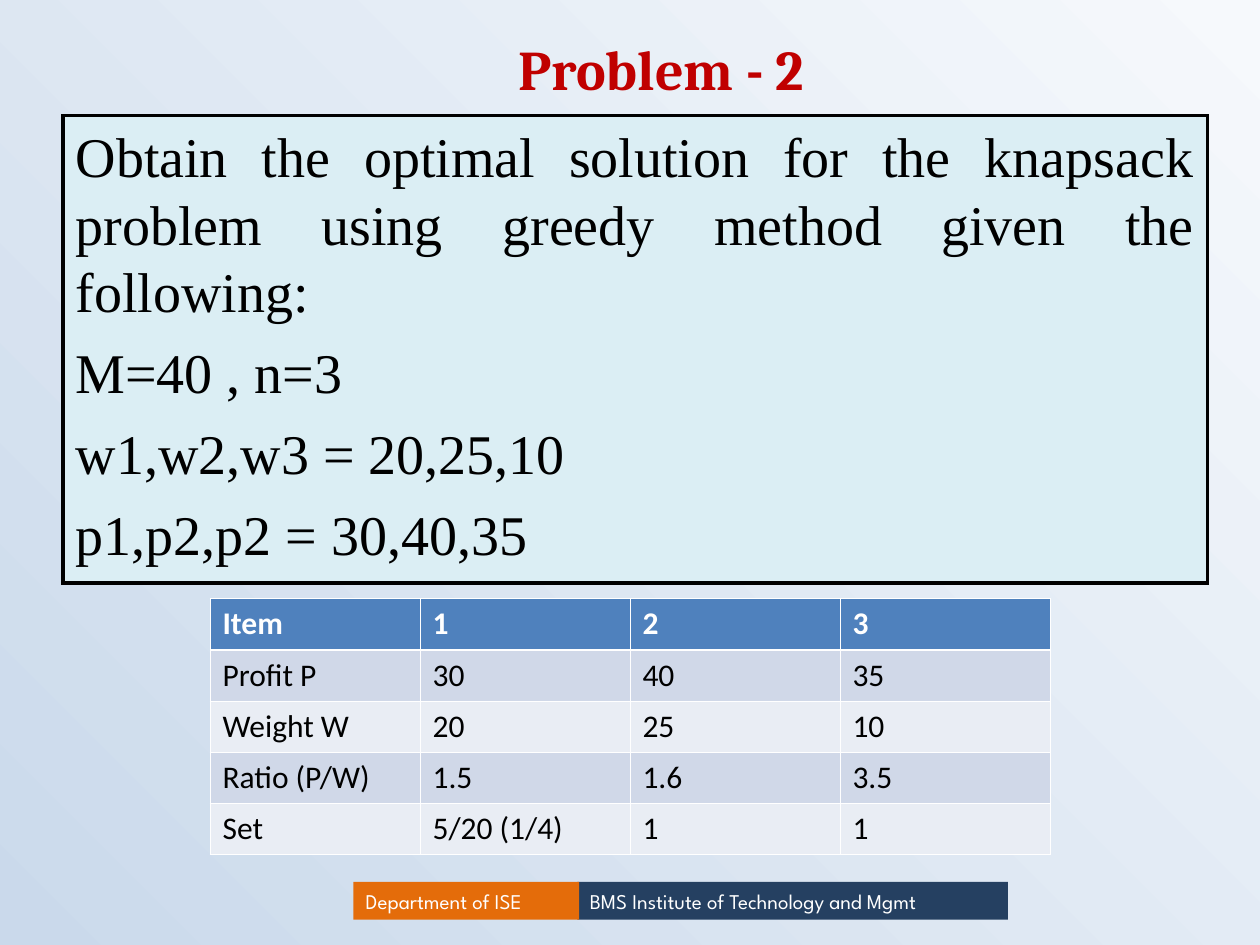
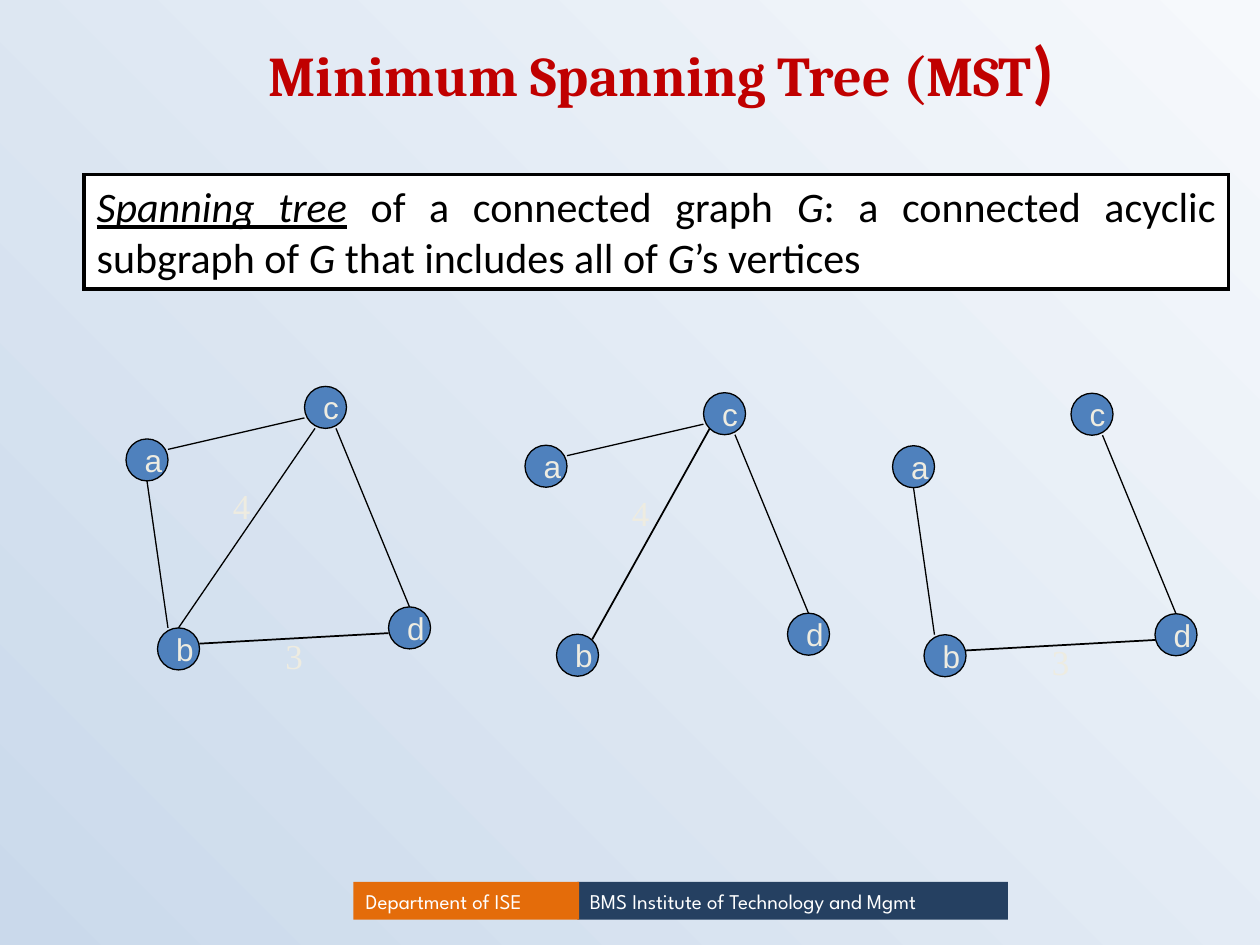
from lxml.etree import SubElement
from pptx import Presentation
from pptx.dml.color import RGBColor
from pptx.enum.shapes import MSO_CONNECTOR, MSO_SHAPE
from pptx.enum.text import MSO_ANCHOR, MSO_AUTO_SIZE, PP_ALIGN
from pptx.oxml.ns import qn
from pptx.util import Inches, Pt

COLORS = {
    "sky": "F6F9FC", "mist": "CAD9EB", "navy": "254061", "orange": "E46C0A",
    "title": "C00000", "black": "000000", "white": "FFFFFF", "aqua": "DBEEF4",
    "blue": "4F81BD", "band": "D0D8E8", "pale": "E9EDF4", "cream": "EEECE1",
}

# The slide is a grid of 120 columns by 90 rows
UNIT = Inches(10) // 120

FOOTER = [
    ((55, 84, 41, 3.6), "navy", "BMS Institute of Technology and Mgmt"),
    ((33.65, 84, 21.5, 3.6), "orange", "Department of ISE"),
]

ITEMS = [
    ["Item", "1", "2", "3"],
    ["Profit P", "30", "40", "35"],
    ["Weight W", "20", "25", "10"],
    ["Ratio (P/W)", "1.5", "1.6", "3.5"],
    ["Set", "5/20 (1/4)", "1", "1"],
]

# Graph parts, in grid units from the corner of the graph's box
NODE_SIZE = 4
NODES = {"c": (17, 0), "d": (25, 21), "b": (3, 23), "a": (0, 5)}
EDGES = {  # start, end, line width
    "ac": ((4, 6), (17, 3), 0.75),
    "ab": ((4, 23), (2, 9), 0.75),
    "bc": ((5, 23), (18, 4), 0.75),
    "bd": ((7, 24.5), (25, 23.5), 1),
    "cd": ((27, 21), (20, 4), 0.75),
}
STEEP_BC = {"bc": ((17.6, 3.4), (6.4, 23.5), 1)}
WEIGHTS = {"bc": ("4", (9, 8.8)), "bd": ("3", (14, 23))}  # label, place


def grid(*values):
    return [round(v * UNIT) for v in values]


def rgb(name):
    return RGBColor.from_string(COLORS[name])


def style(font, name, size, color, bold=False):
    font.name, font.size, font.bold = name, Pt(size), bold
    font.color.rgb = rgb(color)


def paint(s, fill, line=None, width=0.75):
    s.fill.solid()
    s.fill.fore_color.rgb = rgb(fill)
    if line:
        s.line.color.rgb = rgb(line)
        s.line.width = Pt(width)
        SubElement(s.line._get_or_add_ln(), qn("a:miter"), lim="800000")
    else:
        s.line.fill.background()


def place(s, box):
    s.left, s.top, s.width, s.height = grid(*box)


def label(s, text, font, size, color, wrap=False, anchor=MSO_ANCHOR.TOP):
    tf = s.text_frame
    tf.text = text
    tf.word_wrap, tf.vertical_anchor = wrap, anchor
    p = tf.paragraphs[0]
    p.alignment = PP_ALIGN.LEFT
    style(p.runs[0].font, font, size, color)


def add_footer(slide):
    for box, fill, text in FOOTER:
        s = slide.shapes.add_shape(MSO_SHAPE.RECTANGLE, *grid(*box))
        s.shadow.inherit = False
        paint(s, fill)
        label(s, text, "League Spartan", 12, "white", wrap=True)


def new_slide(prs, title):
    """Slide with the shared title and footer."""
    slide = prs.slides.add_slide(prs.slide_layouts[1])
    s = slide.shapes.title
    place(s, (8, 2, 110, 9))
    tf = s.text_frame
    tf.text = title
    tf.auto_size, tf.vertical_anchor = MSO_AUTO_SIZE.NONE, MSO_ANCHOR.MIDDLE
    p = tf.paragraphs[0]
    p.alignment = PP_ALIGN.CENTER
    style(p.runs[0].font, "Cambria", 32, "title", bold=True)
    add_footer(slide)
    return slide


def fill_body(slide, box, fill, width, paragraphs, font, size):
    """Framed body; a paragraph is a list of (text, marks), marks from 'iu'."""
    s = slide.placeholders[1]
    place(s, box)
    paint(s, fill, "black", width)
    tf = s.text_frame
    tf.auto_size = MSO_AUTO_SIZE.NONE
    for i, runs in enumerate(paragraphs):
        p = tf.add_paragraph() if i else tf.paragraphs[0]
        pPr = p._p.get_or_add_pPr()
        pPr.set("marL", "0")
        pPr.set("indent", "0")
        SubElement(pPr, qn("a:buNone"))
        p.alignment = PP_ALIGN.LEFT if i else PP_ALIGN.JUSTIFY
        p.space_before = Pt(8 if i else 0)
        for text, marks in runs:
            r = p.add_run()
            r.text = text
            style(r.font, font, size, "black")
            r.font.italic, r.font.underline = "i" in marks, "u" in marks


def set_borders(cell, **widths):
    tcPr = cell._tc.get_or_add_tcPr()
    for i, (side, width) in enumerate(widths.items()):
        ln = tcPr.makeelement(qn(f"a:{side}"), {"w": str(Pt(width))})
        fill = SubElement(ln, qn("a:solidFill"))
        SubElement(fill, qn("a:srgbClr"), val=COLORS["white"])
        tcPr.insert(i, ln)


def add_item_table(slide, box):
    rows, cols = len(ITEMS), len(ITEMS[0])
    table = slide.shapes.add_table(rows, cols, *grid(*box)).table
    for i, values in enumerate(ITEMS):
        for j, text in enumerate(values):
            cell = table.cell(i, j)
            cell.text = text
            cell.fill.solid()
            cell.fill.fore_color.rgb = rgb(("band" if i % 2 else "pale") if i else "blue")
            style(cell.text_frame.paragraphs[0].runs[0].font, "Calibri", 18,
                  "black" if i else "white", bold=i == 0)
            set_borders(cell, lnL=0.45, lnR=0.45,
                        lnT=1.47 if i == 1 else 0.45, lnB=0.45 if i else 1.47)


def add_graph(slide, corner, edges, changed=None):
    """Graph of four nodes with the chosen edges and their weights."""
    x, y = corner
    shapes = slide.shapes.add_group_shape().shapes
    for name, (dx, dy) in NODES.items():
        s = shapes.add_shape(MSO_SHAPE.OVAL, *grid(x + dx, y + dy, NODE_SIZE, NODE_SIZE))
        s.shadow.inherit = False
        paint(s, "blue", "black")
        label(s, name, "Arial", 18, "cream", anchor=MSO_ANCHOR.MIDDLE)
    for edge in edges:
        (x1, y1), (x2, y2), width = {**EDGES, **(changed or {})}[edge]
        line = shapes.add_connector(MSO_CONNECTOR.STRAIGHT,
                                    *grid(x + x1, y + y1, x + x2, y + y2))
        line.line.color.rgb = rgb("black")
        line.line.width = Pt(width)
        SubElement(line._element.spPr, qn("a:effectLst"))
        if edge in WEIGHTS:
            weight, (dx, dy) = WEIGHTS[edge]
            s = shapes.add_textbox(*grid(x + dx, y + dy, 4, 5.3))
            label(s, weight, "Times New Roman", 20, "cream")


def problem_slide(prs):
    slide = new_slide(prs, "Problem - 2")
    lines = [
        "Obtain the optimal solution for the knapsack problem using greedy "
        "method given the following:",
        "M=40 , n=3",
        "w1,w2,w3 = 20,25,10",
        "p1,p2,p2 = 30,40,35",
    ]
    fill_body(slide, (6, 11, 109, 44.5), "aqua", 2.25,
              [[(line, "")] for line in lines], "Times New Roman", 32)
    add_item_table(slide, (20, 57, 80, 24.4))


def spanning_tree_slide(prs):
    slide = new_slide(prs, "Minimum Spanning Tree (MST")
    r = slide.shapes.title.text_frame.paragraphs[0].add_run()
    r.text = ")"
    style(r.font, "Calibri", 40, "title", bold=True)
    definition = [
        ("Spanning tree", "iu"), (" of a connected graph ", ""), ("G", "i"),
        (": a connected acyclic subgraph of ", ""), ("G ", "i"),
        ("that includes all of ", ""), ("G", "i"), ("’s vertices", ""),
    ]
    fill_body(slide, (8, 16.63, 109, 10.9), "white", 2, [definition], "Calibri", 24)
    # Full graph, then two of its spanning trees
    add_graph(slide, (12, 36.8), EDGES)
    add_graph(slide, (50, 37.4), ["ac", "bc", "cd"], STEEP_BC)
    add_graph(slide, (85, 37.45), ["ab", "bd", "cd"])


def main():
    prs = Presentation()
    prs.slide_width, prs.slide_height = grid(120, 90)
    # Shared background
    fill = prs.slide_master.background.fill
    fill.gradient()
    fill.gradient_angle = 225
    for stop, name in zip(fill.gradient_stops, ("sky", "mist")):
        stop.color.rgb = rgb(name)
    problem_slide(prs)
    spanning_tree_slide(prs)
    prs.save("out.pptx")


if __name__ == "__main__":
    main()
